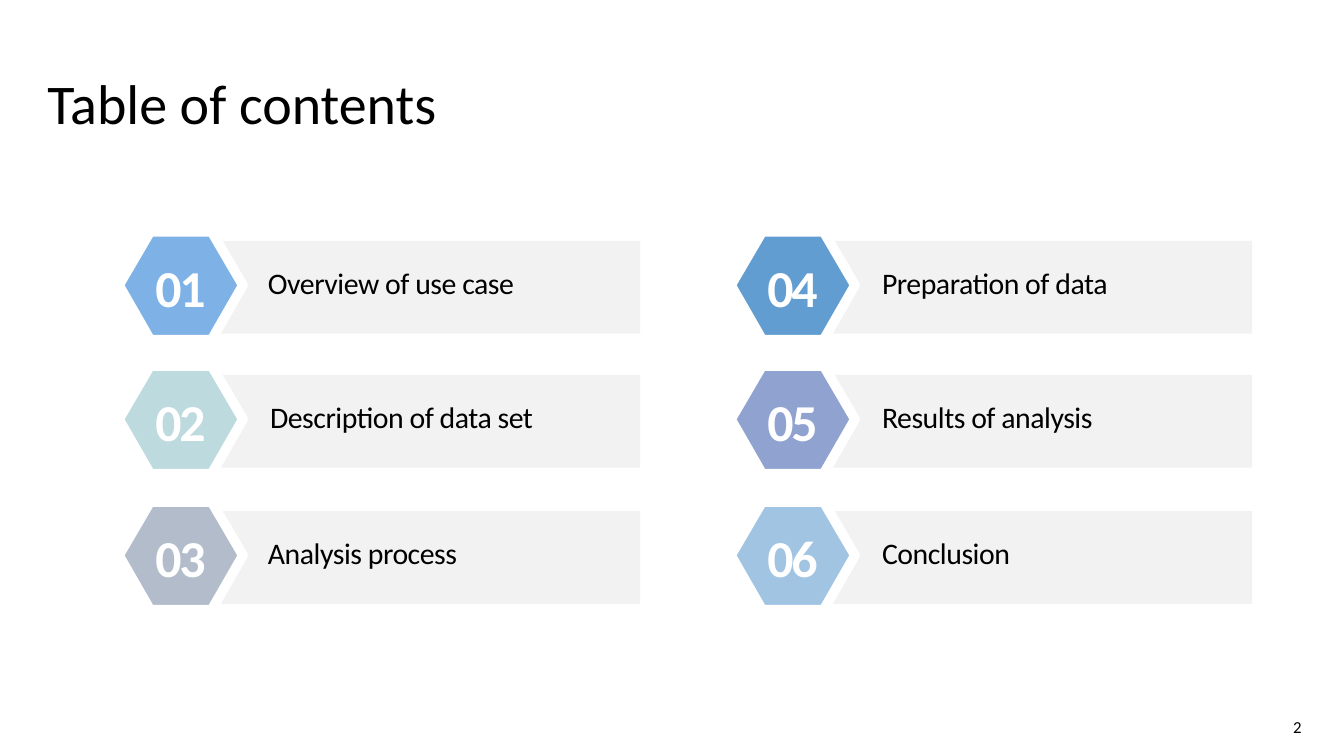
from dataclasses import dataclass
from pptx import Presentation
from pptx.dml.color import RGBColor
from pptx.enum.shapes import MSO_SHAPE
from pptx.enum.text import MSO_ANCHOR, MSO_AUTO_SIZE, PP_ALIGN
from pptx.util import Pt

RECTANGLE = MSO_SHAPE.RECTANGLE
BOTTOM, MIDDLE = MSO_ANCHOR.BOTTOM, MSO_ANCHOR.MIDDLE
LEFT, CENTER, RIGHT = PP_ALIGN.LEFT, PP_ALIGN.CENTER, PP_ALIGN.RIGHT
GROW = MSO_AUTO_SIZE.SHAPE_TO_FIT_TEXT
PX = 9144


@dataclass(frozen=True)
class Theme:
    font: str = "Calibri"
    text: str = "000000"
    white: str = "FFFFFF"
    bar: str = "F2F2F2"
    title_size: float = 40
    label_size: float = 21.3
    number_size: float = 37
    page_size: float = 12


THEME = Theme()
COLUMN_LEFTS = (118, 725)
ROW_TOPS = (230, 363, 498)
ENTRY_SIZE = (517, 107)
HEXAGON = ((92, 0), (31, 0), (0, 53), (31, 107), (92, 107), (123, 53))
ENTRIES = (
    ("Overview of use case", "7EB2E6", 138),
    ("Description of data set", "BDDADF", 140),
    ("Analysis process", "B2BCCB", 138),
    ("Preparation of data", "629DD1", 140),
    ("Results of analysis", "90A2CF", 140),
    ("Conclusion", "A1C4E3", 140),
)


def paint(sp, color):
    sp.shadow.inherit = False
    sp.fill.solid()
    sp.fill.fore_color.rgb = RGBColor.from_string(color)
    sp.line.fill.background()


def add_text(s, box, text, size, color=THEME.text, anchor=BOTTOM, align=LEFT,
             insets=(10, 5), line_spacing=None, tracking=None, bold=False, grow=False):
    tf = s.shapes.add_textbox(*(v * PX for v in box)).text_frame
    tf.word_wrap = True
    tf.vertical_anchor = anchor
    tf.margin_left = tf.margin_right = insets[0] * PX
    tf.margin_top = tf.margin_bottom = insets[1] * PX
    if grow:
        tf.auto_size = GROW
    tf.text = text
    p = tf.paragraphs[0]
    p.alignment = align
    p.line_spacing = line_spacing
    r = p.runs[0]
    r.font.name = THEME.font
    r.font.size = Pt(size)
    r.font.bold = bold
    r.font.color.rgb = RGBColor.from_string(color)
    if tracking:
        r.font._element.set("spc", str(tracking))


def add_title(s, box, text):
    add_text(s, box, text, THEME.title_size, insets=(7, 4), line_spacing=0.9)


def add_page_number(s, box, text):
    add_text(s, box, text, THEME.page_size, align=RIGHT, insets=(7, 4))


def add_entry(s, box, number, label, color, label_dx):
    x, y, w, h = box
    bar = s.shapes.add_shape(
        RECTANGLE, (x + 39) * PX, (y + 9) * PX, (w - 39) * PX, (h - 15) * PX)
    paint(bar, THEME.bar)

    points = [(x + dx, y + dy) for dx, dy in HEXAGON]
    builder = s.shapes.build_freeform(*points[0], scale=PX)
    builder.add_line_segments(points[1:], close=True)
    hexagon = builder.convert_to_shape()
    paint(hexagon, color)
    hexagon.line.color.rgb = RGBColor.from_string(THEME.white)
    hexagon.line.width = Pt(7)

    add_text(s, (x + label_dx, y + 37, 333, 37), label, THEME.label_size,
             anchor=MIDDLE, line_spacing=Pt(17.5), tracking=-30, grow=True)
    add_text(s, (x + 22, y + 17, 78, 73), number, THEME.number_size, THEME.white,
             align=CENTER, line_spacing=Pt(47), tracking=-160, bold=True, grow=True)


def add_contents_slide(prs):
    s = prs.slides.add_slide(prs.slide_layouts[6])
    add_title(s, (40, 41, 1258, 99), "Table of contents")
    add_page_number(s, (1242, 695, 56, 40), "2")
    for i, (label, color, label_dx) in enumerate(ENTRIES):
        column, row = divmod(i, len(ROW_TOPS))
        box = (COLUMN_LEFTS[column], ROW_TOPS[row], *ENTRY_SIZE)
        add_entry(s, box, f"{i + 1:02}", label, color, label_dx)


def main():
    prs = Presentation()
    prs.slide_width, prs.slide_height = 1333 * PX, 750 * PX
    add_contents_slide(prs)
    prs.save("out.pptx")


if __name__ == "__main__":
    main()
